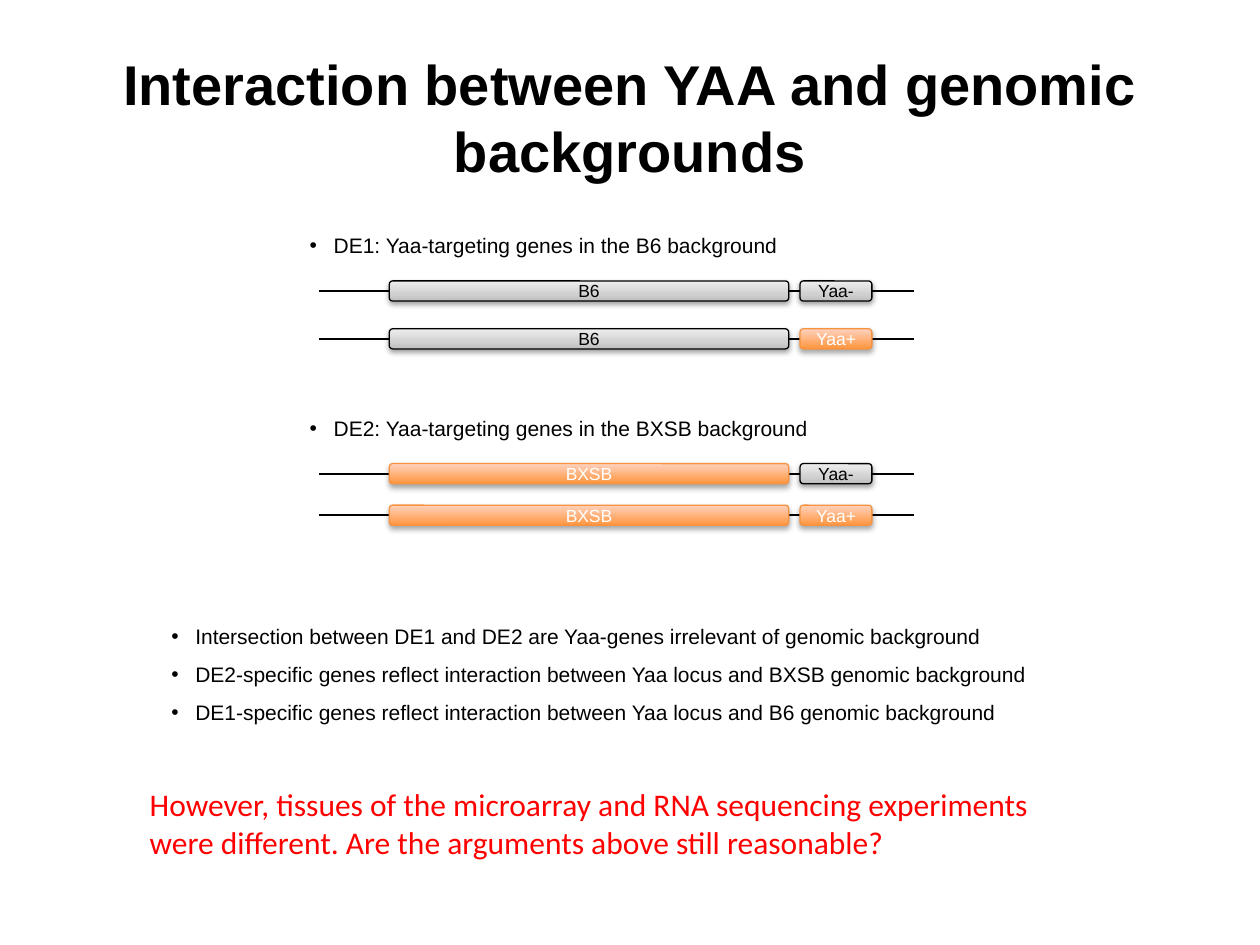
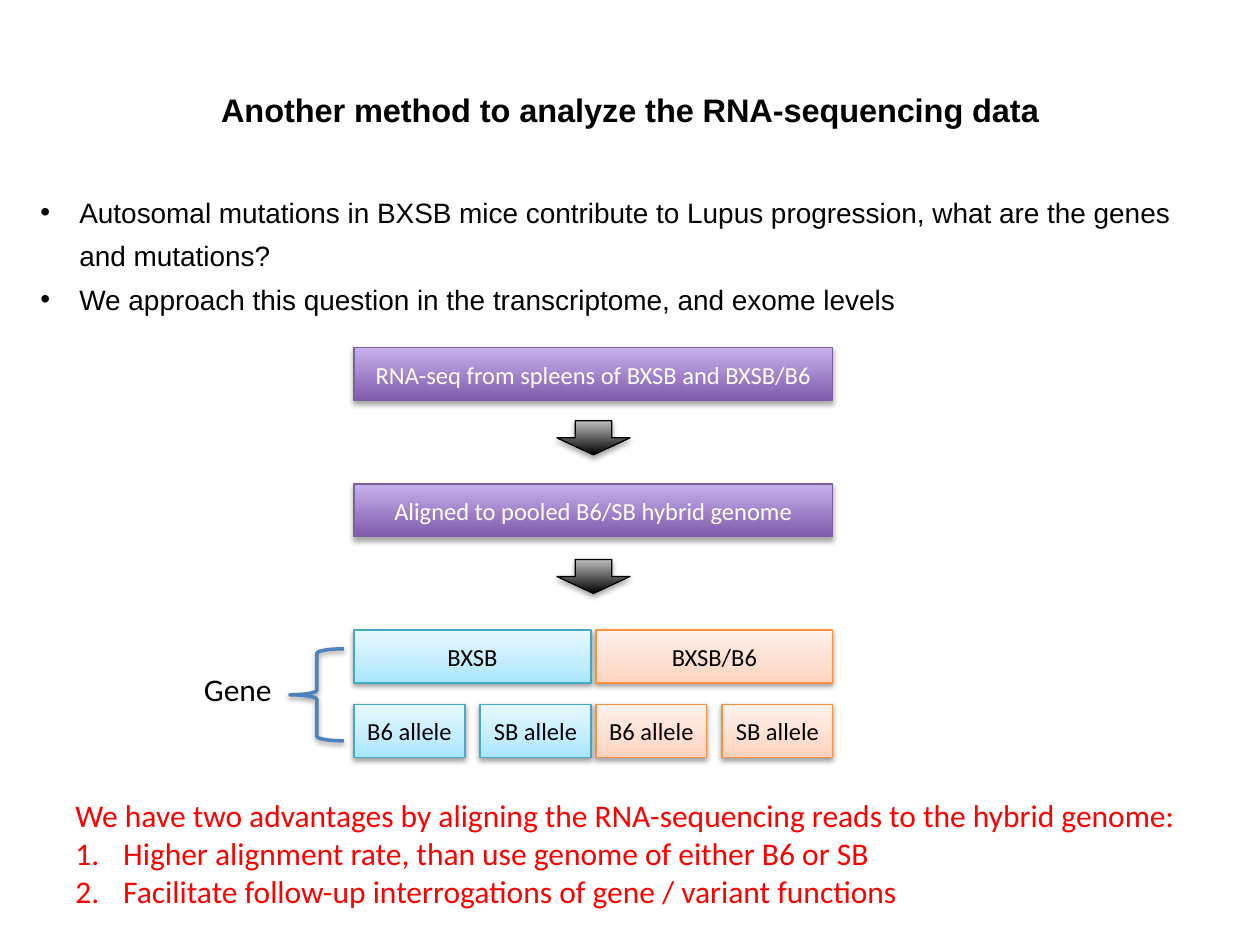
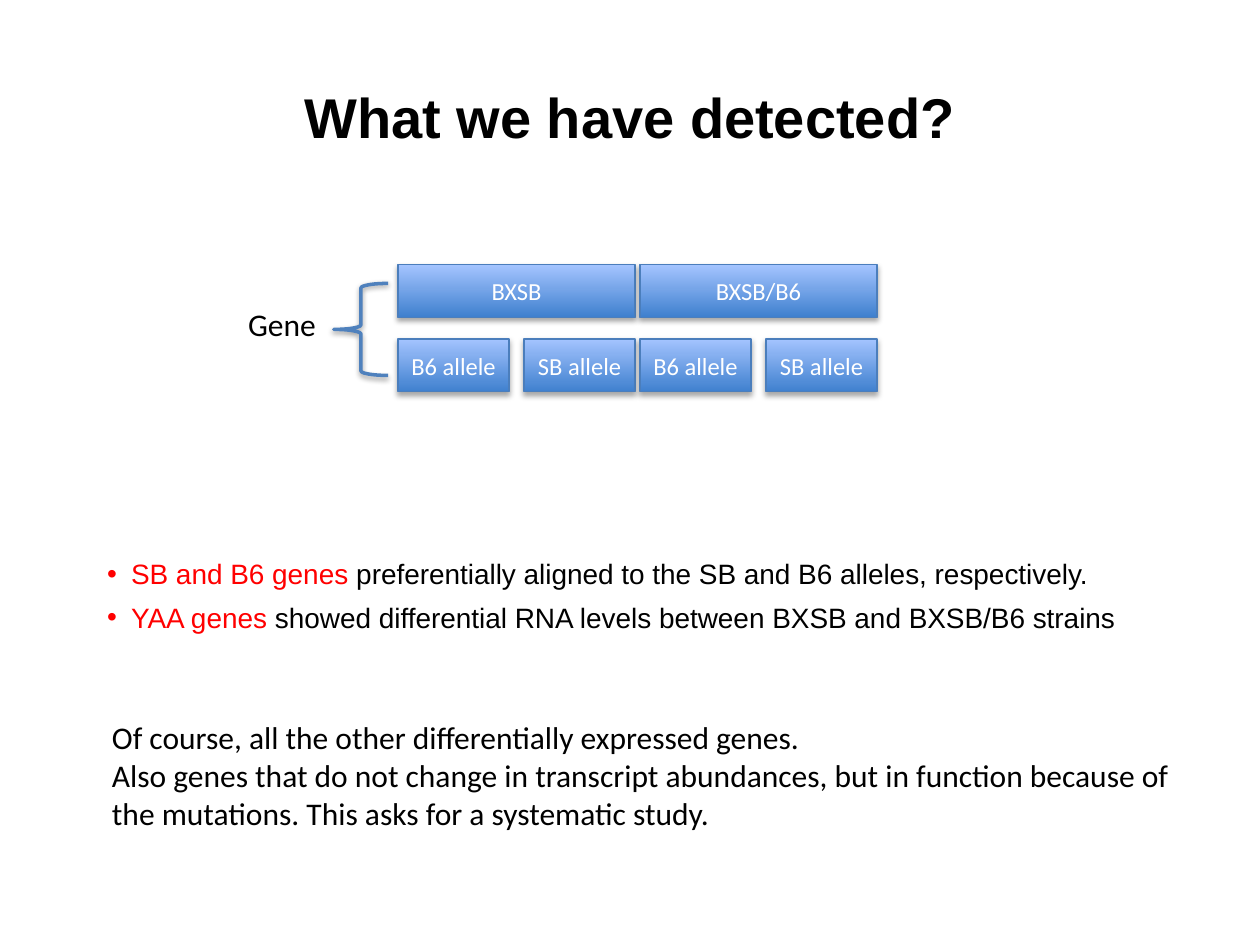
from lxml import etree
from pptx import Presentation
from pptx import util as u
from pptx.dml import color
from pptx.enum import shapes, text
from pptx.oxml import ns

PX = 9144
BLACK, WHITE, RED = "000000", "FFFFFF", "FF0000"
DEEP, SOFT = (23000, 35000), (20000, 38000)
LOOKS = {
    "gray": (((0, "BDBDBD"), (35, "D1D1D1"), (100, "EEEEEE")), BLACK, BLACK, SOFT),
    "orange": (((0, "FF953E"), (100, "FFD2BD")), "F69240", WHITE, DEEP),
    "purple": (((0, "7F5BAB"), (100, "C8B0ED")), "7D60A0", WHITE, DEEP),
    "black": (((0, BLACK), (100, "BDBDBD")), BLACK, WHITE, DEEP),
    "aqua": (((0, "A7E6FF"), (35, "C1EDFF"), (100, "E7F8FF")), "46AAC5", BLACK, SOFT),
    "peach": (((0, "FFD2BD"), (35, "FFDED0"), (100, "FFF2ED")), "F69240", BLACK, SOFT),
    "blue": (((0, "3F80CE"), (100, "A4C4FF")), "4B7EBC", WHITE, DEEP),
}
KIND = shapes.MSO_SHAPE


def hue(code):
    return color.RGBColor.from_string(code)


def span(*sizes):
    return [u.Emu(size * PX) for size in sizes]


def node(owner, tag, **attrs):
    return etree.SubElement(owner, ns.qn(tag), {k: str(v) for k, v in attrs.items()})


def write(frame, words, size=18, font="Calibri", ink=BLACK, bold=False,
          align=None, lead=None, mark=None, hang=0, base=0):
    for item in words if isinstance(words, list) else [words]:
        para = frame.add_paragraph() if frame.text else frame.paragraphs[0]
        para.alignment = align
        para.space_before = u.Pt(0)
        if lead:
            para.line_spacing = lead
        if mark:
            props = para._p.get_or_add_pPr()
            props.set("marL", str(hang * PX))
            props.set("indent", str(-hang * PX))
            if mark == "1.":
                node(props, "a:buFont", typeface="+mj-lt")
                node(props, "a:buAutoNum", type="arabicPeriod")
            else:
                node(props, "a:buFont", typeface="Arial")
                node(props, "a:buChar", char=mark)
        for part, tint in [(item, ink)] if isinstance(item, str) else item:
            run = para.add_run()
            run.text = part
            run.font.name = font
            run.font.size = u.Pt(size)
            run.font.bold = bold
            run.font.color.rgb = hue(tint)
            if base:
                run._r.get_or_add_rPr().set("baseline", str(base))


class Deck:
    def __init__(self):
        self.show = Presentation()
        self.show.slide_width, self.show.slide_height = span(1000, 750)
        self.slide = None

    def page(self, title, **form):
        self.slide = self.show.slides.add_slide(self.show.slide_layouts[1])
        head = self.slide.shapes.title
        self.place(head, 50, 30, 900, 125)
        head.text_frame.vertical_anchor = text.MSO_ANCHOR.MIDDLE
        write(head.text_frame, title, size=32, font="Arial", bold=True,
              align=text.PP_ALIGN.CENTER, **form)

    def place(self, shape, *area):
        shape.left, shape.top, shape.width, shape.height = span(*area)
        shape.text_frame.auto_size = text.MSO_AUTO_SIZE.NONE

    def body(self, area, words, **form):
        shape = self.slide.placeholders[1]
        self.place(shape, *area)
        write(shape.text_frame, words, font="Arial", mark="•", **form)

    def note(self, area, words, wrap=True, **form):
        frame = self.slide.shapes.add_textbox(*span(*area)).text_frame
        frame.word_wrap = wrap
        frame.auto_size = text.MSO_AUTO_SIZE.SHAPE_TO_FIT_TEXT
        write(frame, words, **form)
        return frame

    def line(self, left, right, y):
        rule = self.slide.shapes.add_connector(
            shapes.MSO_CONNECTOR.STRAIGHT, *span(left, y, right, y))
        rule.line.color.rgb = hue(BLACK)
        rule.line.width = u.Pt(1)
        node(rule._element.spPr, "a:effectLst")

    def shade(self, shape, look):
        dist, alpha = look
        shape.shadow.inherit = False
        group = shape._element.spPr.find(ns.qn("a:effectLst"))
        drop = node(group, "a:outerShdw", blurRad=40000, dist=dist,
                    dir=5400000, rotWithShape=0)
        node(node(drop, "a:srgbClr", val=BLACK), "a:alpha", val=alpha)

    def box(self, area, look, words="", kind=KIND.RECTANGLE, **form):
        stops, edge, ink, drop = LOOKS[look]
        shape = self.slide.shapes.add_shape(kind, *span(*area))
        shape.fill.gradient()
        shape.fill.gradient_angle = 90
        ramp = shape._element.spPr.find(ns.qn("a:gradFill")).find(ns.qn("a:gsLst"))
        for old in list(ramp):
            ramp.remove(old)
        for pos, code in stops:
            node(node(ramp, "a:gs", pos=pos * 1000), "a:srgbClr", val=code)
        shape.line.color.rgb = hue(edge)
        shape.line.width = u.Pt(0.75)
        self.shade(shape, drop)
        if words:
            frame = shape.text_frame
            frame.margin_left = frame.margin_right = 0
            frame.vertical_anchor = text.MSO_ANCHOR.MIDDLE
            write(frame, words, ink=ink, align=text.PP_ALIGN.CENTER, **form)

    def brace(self, area):
        shape = self.slide.shapes.add_shape(KIND.LEFT_BRACE, *span(*area))
        shape.fill.background()
        shape.line.color.rgb = hue("4F81BD")
        shape.line.width = u.Pt(2)
        self.shade(shape, SOFT)

    def strand(self, y, locus, back, sign, tone):
        self.line(253, 725, y + 8)
        for left, wide, word, look in ((309, 317, locus, back), (635, 57, sign, tone)):
            self.box((left, y, wide, 16), look, word, KIND.ROUNDED_RECTANGLE,
                     size=10, font="Arial")

    def gene(self, x, y, looks):
        for i, (strain, look) in enumerate(zip(("BXSB", "BXSB/B6"), looks)):
            left = x + 192 * i
            self.box((left, y, 188, 42), look, strain, size=14)
            for j, side in enumerate(("B6", "SB")):
                self.box((left + 100 * j, y + 59, 88, 42), look, f"{side} allele", size=14)
        self.brace((x - 51, y + 15, 43, 73))
        self.note((x - 129, y + 27, 75, 40), "Gene", wrap=False)


def main():
    deck = Deck()

    deck.page("Interaction between YAA and genomic backgrounds")
    deck.body((126, 480, 780, 130), [
        "Intersection between DE1 and DE2 are Yaa-genes irrelevant of genomic background",
        "DE2-specific genes reflect interaction between Yaa locus and BXSB genomic background",
        "DE1-specific genes reflect interaction between Yaa locus and B6 genomic background",
    ], size=12, lead=1.5, hang=19)
    for top, label, locus, look, rows in (
            (170, "DE1", "B6", "gray", (223, 261)),
            (315, "DE2", "BXSB", "orange", (368, 401))):
        deck.note((236, top, 669, 39), f"{label}: Yaa-targeting genes in the {locus} background",
                  size=12, font="Arial", lead=1.5, mark="•", hang=19)
        for y, sign, tone in zip(rows, ("Yaa-", "Yaa+"), ("gray", "orange")):
            deck.strand(y, locus, look, sign, tone)
    deck.note((109, 618, 760, 71),
              "However, tissues of the microarray and RNA sequencing experiments "
              "were different. Are the arguments above still reasonable?", ink=RED)

    deck.page("Another method to analyze the RNA-sequencing data", base=30000)
    deck.body((22, 142, 954, 111), [
        "Autosomal mutations in BXSB mice contribute to Lupus progression, "
        "what are the genes and mutations?",
        "We approach this question in the transcriptome, and exome levels",
    ], size=16, lead=1.3, hang=31)
    for top, tip, step in ((276, 334, "RNA-seq from spleens of BXSB and BXSB/B6"),
                           (384, 444, "Aligned to pooled B6/SB hybrid genome")):
        deck.box((281, top, 380, 42), "purple", step, size=14)
        deck.box((442, tip, 58, 27), "black", kind=KIND.DOWN_ARROW)
    deck.gene(281, 500, ("aqua", "peach"))
    gains = deck.note((50, 627, 903, 101),
                      "We have two advantages by aligning the RNA-sequencing reads "
                      "to the hybrid genome:", ink=RED)
    write(gains, [
        "Higher alignment rate, than use genome of either B6 or SB",
        "Facilitate follow-up interrogations of gene / variant functions",
    ], ink=RED, mark="1.", hang=38)

    deck.page("What we have detected?")
    deck.body((75, 429, 854, 79), [
        [("SB and B6 genes ", RED),
         ("preferentially aligned to the SB and B6 alleles, respectively.", BLACK)],
        [("YAA genes ", RED),
         ("showed differential RNA levels between BXSB and BXSB/B6 strains", BLACK)],
    ], size=16, lead=1.3, hang=19)
    deck.gene(316, 210, ("blue", "blue"))
    deck.note((79, 565, 871, 101), [
        "Of course, all the other differentially expressed genes.",
        "Also genes that do not change in transcript abundances, but in function "
        "because of the mutations. This asks for a systematic study.",
    ])

    deck.show.save("out.pptx")


if __name__ == "__main__":
    main()
